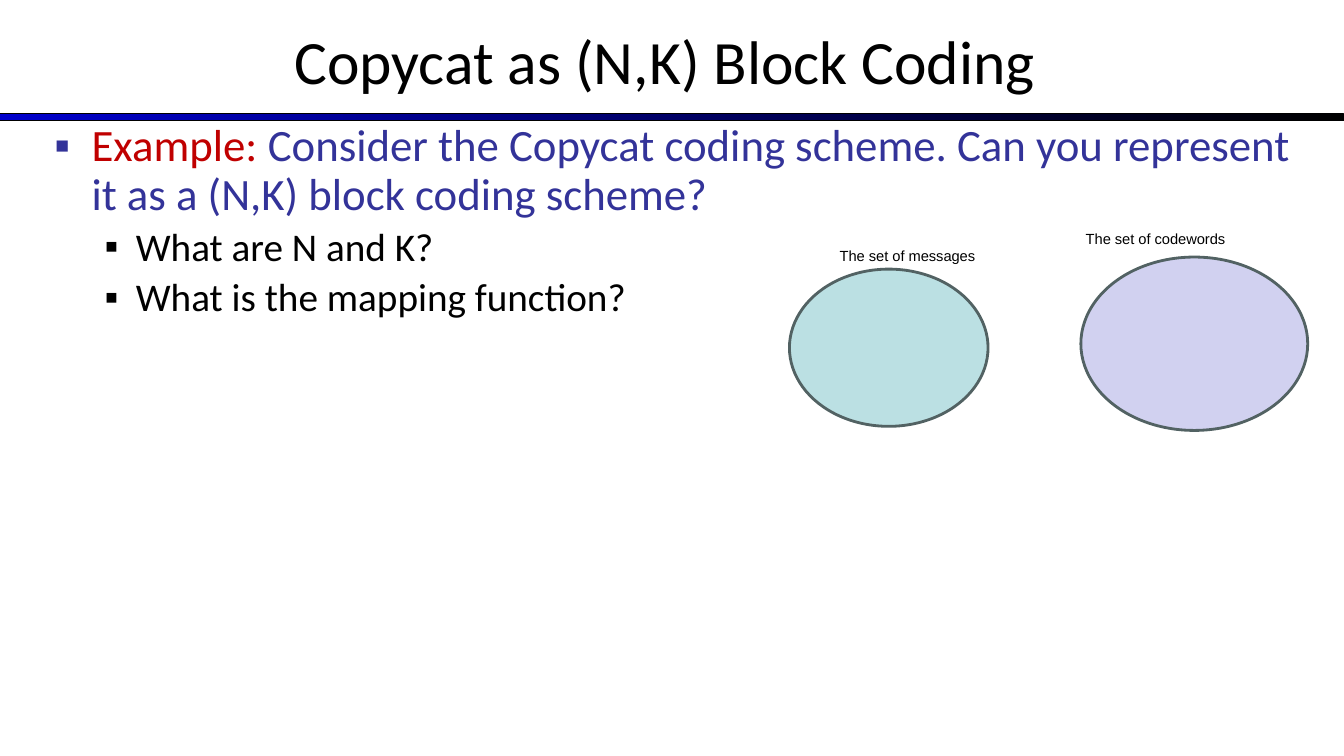
"""Build a slide on Copycat as an (N,K) block code."""
import lxml.etree
import pptx
import pptx.dml.color
import pptx.enum.shapes
import pptx.enum.text
import pptx.oxml.ns
import pptx.util

Inches = pptx.util.Inches
Pt = pptx.util.Pt


class SlideBuilder:
    """Hold the style and the current slide."""

    colors = {
        "black": "000000", "blue": "0000CC", "navy": "333399", "red": "C00000",
        "teal": "BBE0E3", "lavender": "D1D1F0", "outline": "526263",
    }

    def __init__(self, presentation):
        self.slide = presentation.slides.add_slide(presentation.slide_layouts[6])

    def color(self, name):
        return pptx.dml.color.RGBColor.from_string(self.colors[name])

    def add_shape(self, kind, box, line, width):
        shape = self.slide.shapes.add_shape(kind, *map(Inches, box))
        shape.shadow.inherit = False
        shape.line.color.rgb = self.color(line)
        shape.line.width = Pt(width)
        return shape

    def add_rule(self, box):
        kind = pptx.enum.shapes.MSO_SHAPE.RECTANGLE
        fill = self.add_shape(kind, box, "black", 0.75).fill
        fill.gradient()
        fill.gradient_angle = 0
        for stop, name, position in zip(fill.gradient_stops, ("blue", "black"), (0, 1)):
            stop.color.rgb = self.color(name)
            stop.position = position

    def add_set(self, box, fill):
        kind = pptx.enum.shapes.MSO_SHAPE.OVAL
        shape = self.add_shape(kind, box, "outline", 2)
        shape.fill.solid()
        shape.fill.fore_color.rgb = self.color(fill)

    def add_frame(self, box):
        text_frame = self.slide.shapes.add_textbox(*map(Inches, box)).text_frame
        text_frame.word_wrap = True
        return text_frame

    def format_run(self, run, size, font="Calibri", color="black"):
        run.font.size = Pt(size)
        run.font.name = font
        run.font.color.rgb = self.color(color)

    def add_title(self, text, box):
        text_frame = self.add_frame(box)
        text_frame.text = text
        text_frame.vertical_anchor = pptx.enum.text.MSO_ANCHOR.MIDDLE
        paragraph = text_frame.paragraphs[0]
        paragraph.alignment = pptx.enum.text.PP_ALIGN.CENTER
        self.format_run(paragraph.runs[0], 44)

    def add_label(self, text, box):
        text_frame = self.add_frame(box)
        text_frame.text = text
        self.format_run(text_frame.paragraphs[0].runs[0], 10.5, "Arial")

    def add_bullet(self, paragraph, parts, level):
        size, margin, indent, bullet_color = (
            (32, 0.37, -0.37, "navy"), (28, 0.81, -0.31, "black"))[level]
        paragraph.level = level
        paragraph.line_spacing = 0.9
        paragraph.space_before = Pt(size * 0.2)
        properties = paragraph._p.get_or_add_pPr()
        properties.set("marL", str(Inches(margin)))
        properties.set("indent", str(Inches(indent)))
        qn = pptx.oxml.ns.qn
        color = lxml.etree.SubElement(properties, qn("a:buClr"))
        lxml.etree.SubElement(color, qn("a:srgbClr"), val=self.colors[bullet_color])
        lxml.etree.SubElement(properties, qn("a:buFont"), typeface="Arial")
        lxml.etree.SubElement(properties, qn("a:buChar"), char="▪")
        for text, name in parts:
            run = paragraph.add_run()
            run.text = text
            self.format_run(run, size, color=name)

    def add_bullets(self, items, box):
        text_frame = self.add_frame(box)
        for index, (level, parts) in enumerate(items):
            paragraph = text_frame.add_paragraph() if index else text_frame.paragraphs[0]
            self.add_bullet(paragraph, parts, level)


def main():
    presentation = pptx.Presentation()
    presentation.slide_width = Inches(13.33)
    presentation.slide_height = Inches(7.5)
    builder = SlideBuilder(presentation)
    builder.add_rule((0, 1.13, 13.33, 0.07))
    builder.add_title("Copycat as (N,K) Block Coding ", (0, -0.03, 13.33, 1.25))
    builder.add_bullets([
        (0, [("Example:", "red"),
             (" Consider the Copycat coding scheme. Can you represent "
              "it as a (N,K) block coding scheme?", "navy")]),
        (1, [("What are N and K?", "black")]),
        (1, [("What is the mapping function?", "black")]),
    ], (0.44, 1.17, 12.47, 6.25))
    builder.add_set((7.83, 2.67, 1.97, 1.56), "teal")
    builder.add_set((10.72, 2.55, 2.25, 1.72), "lavender")
    builder.add_label("The set of messages", (8.23, 2.4, 1.68, 0.28))
    builder.add_label("The set of codewords", (10.67, 2.23, 1.68, 0.28))
    presentation.save("out.pptx")


if __name__ == "__main__":
    main()
